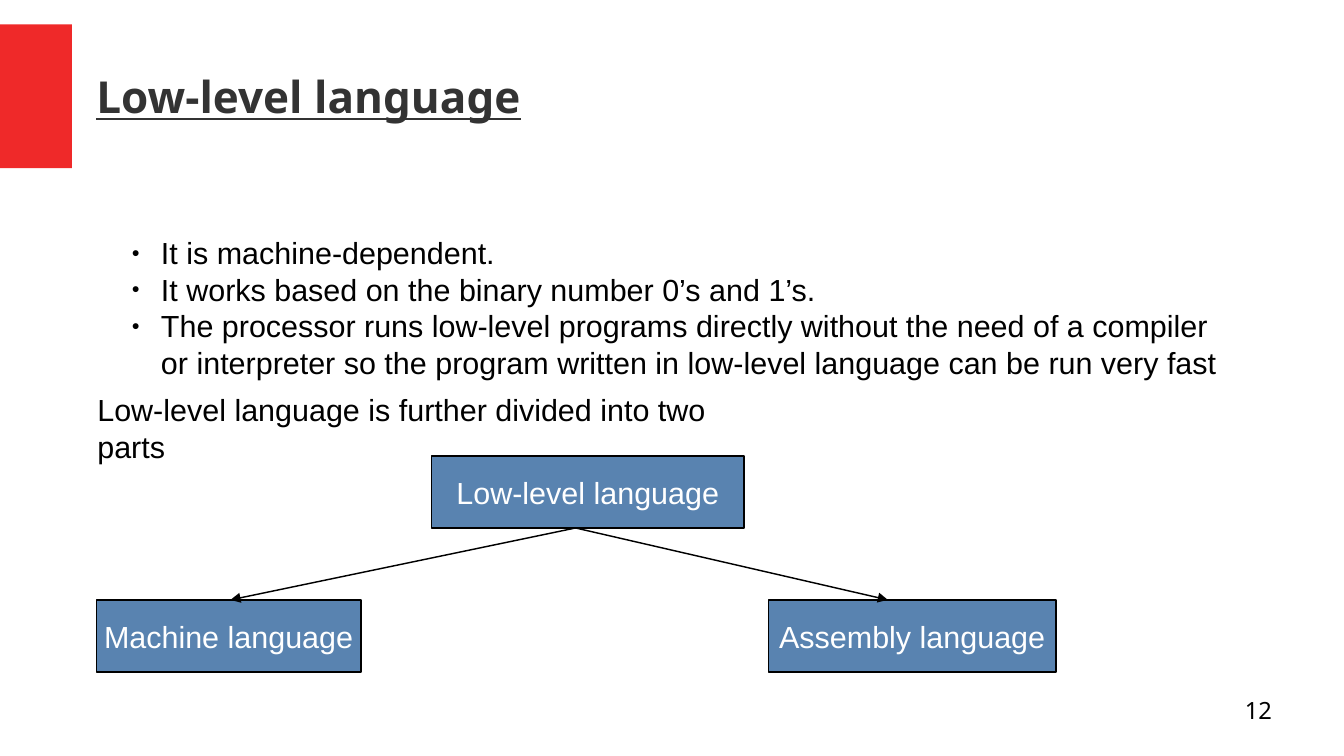
import pptx
import pptx.dml.color
import pptx.enum.shapes
import pptx.enum.text
import pptx.oxml.ns
import pptx.util
from lxml import etree
from pptx.dml.color import RGBColor
from pptx.enum.text import MSO_ANCHOR, PP_ALIGN
from pptx.util import Inches, Pt

RED = RGBColor(0xEF, 0x29, 0x29)
BLUE = RGBColor(0x59, 0x83, 0xB0)
DARK = RGBColor(0x33, 0x33, 0x33)
BLACK = RGBColor(0, 0, 0)
WHITE = RGBColor(0xFF, 0xFF, 0xFF)

HEADING = "Low-level language"
FEATURES = [
    "It is machine-dependent.",
    "It works based on the binary number 0’s and 1’s.",
    "The processor runs low-level programs directly without the need of a compiler "
    "or interpreter so the program written in low-level language can be run very fast",
]
DIVISION = "Low-level language is further divided into two parts"
PAGE = "12"
LANGUAGES = [
    ("Low-level language", 3.54, 3.74, 2.56),
    ("Assembly language", 6.3, 4.92, 2.36),
    ("Machine language", 0.79, 4.92, 2.17),
]
BOX_HEIGHT = 0.59
BRANCH_START = (4.72, 4.33)
BRANCH_ENDS = [(1.89, 4.92), (7.28, 4.92)]
LINE_WIDTH = Pt(0.85)


def place(part, left, top, width, height):
    """Move and size a part, in inches."""
    part.left, part.top = Inches(left), Inches(top)
    part.width, part.height = Inches(width), Inches(height)


def write(part, lines, size, color, font="Arial", align=PP_ALIGN.LEFT,
          anchor=MSO_ANCHOR.TOP, margins=(0.1, 0.05), wrap=True):
    """Fill a part with evenly formatted paragraphs."""
    frame = part.text_frame
    frame.text = "\n".join(lines)
    frame.auto_size = pptx.enum.text.MSO_AUTO_SIZE.NONE
    frame.word_wrap = wrap
    frame.vertical_anchor = anchor
    frame.margin_left = frame.margin_right = Inches(margins[0])
    frame.margin_top = frame.margin_bottom = Inches(margins[1])
    for paragraph in frame.paragraphs:
        paragraph.alignment = align
        paragraph.space_before = Pt(0)
        for run in paragraph.runs:
            run.font.name = font
            run.font.size = Pt(size)
            run.font.color.rgb = color


def add_bullet(paragraph):
    """Give a paragraph a small round black bullet."""
    properties = paragraph._p.get_or_add_pPr()
    properties.set("marL", str(Inches(0.24)))
    properties.set("indent", str(-Inches(0.24)))
    qn = pptx.oxml.ns.qn
    bullet_color = etree.SubElement(properties, qn("a:buClr"))
    etree.SubElement(bullet_color, qn("a:srgbClr"), val=str(BLACK))
    etree.SubElement(properties, qn("a:buSzPct"), val="45000")
    etree.SubElement(properties, qn("a:buFont"), typeface="Arial")
    etree.SubElement(properties, qn("a:buChar"), char="●")


def add_box(shapes, left, top, width, height, fill):
    """Add a flat rectangle without outline."""
    box = shapes.add_shape(pptx.enum.shapes.MSO_SHAPE.RECTANGLE, Inches(left),
                           Inches(top), Inches(width), Inches(height))
    box.shadow.inherit = False
    box.fill.solid()
    box.fill.fore_color.rgb = fill
    box.line.fill.background()
    return box


def add_branch(shapes, start, end):
    """Add a thin black arrow."""
    branch = shapes.add_connector(pptx.enum.shapes.MSO_CONNECTOR.STRAIGHT,
                                  *map(Inches, start + end))
    branch.line.color.rgb = BLACK
    branch.line.width = LINE_WIDTH
    qn = pptx.oxml.ns.qn
    etree.SubElement(branch.line._get_or_add_ln(), qn("a:tailEnd"), type="triangle")
    etree.SubElement(branch._element.spPr, qn("a:effectLst"))


def add_note(shapes, text, left, top, width, height, size, **style):
    """Add a black line of free text."""
    note = shapes.add_textbox(Inches(left), Inches(top), Inches(width), Inches(height))
    write(note, [text], size, BLACK, **style)


def main():
    """Build the low-level language slide."""
    deck = pptx.Presentation()
    deck.slide_width, deck.slide_height = Inches(11.02), Inches(6.2)
    slide = deck.slides.add_slide(deck.slide_layouts[1])
    shapes = slide.shapes

    add_box(shapes, 0, 0.2, 0.59, 1.18, RED)

    heading = shapes.title
    place(heading, 0.79, 0.2, 9.84, 1.18)
    write(heading, [HEADING], 26, DARK, font="Noto Sans",
          anchor=MSO_ANCHOR.MIDDLE, margins=(0, 0))
    heading_font = heading.text_frame.paragraphs[0].runs[0].font
    heading_font.bold = heading_font.underline = True

    features = slide.placeholders[1]
    place(features, 0.98, 1.87, 9.25, 1.22)
    write(features, FEATURES, 18, BLACK)
    for paragraph in features.text_frame.paragraphs:
        add_bullet(paragraph)

    add_note(shapes, DIVISION, 0.7, 3.16, 5.8, 0.38, 18)

    for name, left, top, width in LANGUAGES:
        language = add_box(shapes, left, top, width, BOX_HEIGHT, BLUE)
        language.line.color.rgb = BLACK
        language.line.width = LINE_WIDTH
        write(language, [name], 18, WHITE, align=PP_ALIGN.CENTER,
              anchor=MSO_ANCHOR.MIDDLE, wrap=False)

    for end in BRANCH_ENDS:
        add_branch(shapes, BRANCH_START, end)

    add_note(shapes, PAGE, 7.87, 5.71, 2.56, 0.43, 14, font="Noto Sans",
             align=PP_ALIGN.RIGHT, margins=(0, 0))
    deck.save("out.pptx")


if __name__ == "__main__":
    main()
